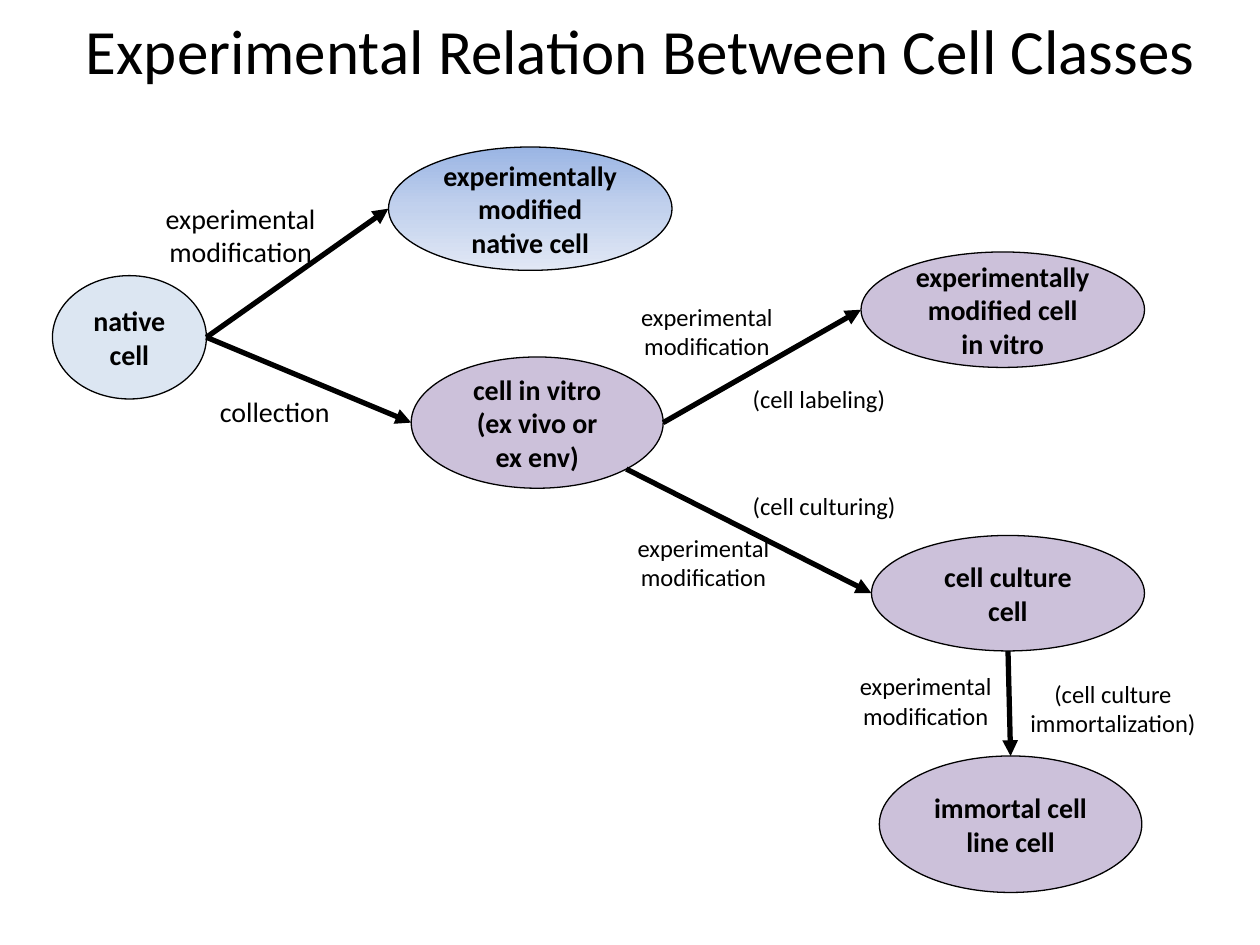
from copy import deepcopy
from math import cos, radians, sin

from lxml import etree
from pptx import Presentation
from pptx import util as u
from pptx.dml.color import RGBColor
from pptx.enum import shapes, text
from pptx.oxml.ns import qn

BLACK = RGBColor(0x00, 0x00, 0x00)
LILAC = RGBColor(0xCC, 0xC1, 0xDA)
PALE_BLUE = RGBColor(0xDC, 0xE6, 0xF2)
BLUE_GRADIENT = (
    RGBColor(0x9A, 0xB5, 0xE4),
    RGBColor(0xC2, 0xD1, 0xED),
    RGBColor(0xE1, 0xE8, 0xF5),
)

# Clockwise angles on an ellipse, in degrees
RIGHT, LOWER_RIGHT, BOTTOM, LEFT, TOP = 0, 45, 90, 180, 270


def rim_point(ellipse, angle):
    """Return the point of the ellipse's outline at a clockwise angle."""
    horizontal, vertical = ellipse.width / 2, ellipse.height / 2
    return (
        round(ellipse.left + horizontal * (1 + cos(radians(angle)))),
        round(ellipse.top + vertical * (1 + sin(radians(angle)))),
    )


class Diagram:
    font = "Calibri"
    outline_width = u.Pt(0.75)
    arrow_width = u.Pt(3)

    def __init__(self, slide):
        self.slide = slide

    def add_lines(self, frame, lines, size, bold=False, align=text.PP_ALIGN.CENTER):
        for index, line in enumerate(lines):
            paragraph = frame.add_paragraph() if index else frame.paragraphs[0]
            paragraph.alignment = align
            run = paragraph.add_run()
            run.text = line
            run.font.name = self.font
            run.font.size = u.Pt(size)
            run.font.bold = bold
            run.font.color.rgb = BLACK

    def cell(self, left, top, width, height, *lines, fill=LILAC):
        shape = self.slide.shapes.add_shape(
            shapes.MSO_SHAPE.OVAL, u.Pt(left), u.Pt(top), u.Pt(width), u.Pt(height)
        )
        shape.shadow.inherit = False
        if isinstance(fill, RGBColor):
            shape.fill.solid()
            shape.fill.fore_color.rgb = fill
        else:
            self.fill_gradient(shape, fill)
        shape.line.color.rgb = BLACK
        shape.line.width = self.outline_width
        frame = shape.text_frame
        frame.word_wrap = True
        frame.vertical_anchor = text.MSO_ANCHOR.MIDDLE
        self.add_lines(frame, lines, 16, bold=True)
        return shape

    def fill_gradient(self, shape, colors):
        """Fill from top to bottom with three evenly spaced colours."""
        shape.fill.gradient()
        shape.fill.gradient_angle = 270
        first_stop = next(shape.element.spPr.iter(qn("a:gs")))
        first_stop.addnext(deepcopy(first_stop))
        for index, (stop, color) in enumerate(zip(shape.fill.gradient_stops, colors)):
            stop.position = index / 2
            stop.color.rgb = color

    def arrow(self, source, source_angle, target, target_angle):
        connector = self.slide.shapes.add_connector(
            shapes.MSO_CONNECTOR.STRAIGHT,
            *rim_point(source, source_angle),
            *rim_point(target, target_angle),
        )
        connector.line.color.rgb = BLACK
        connector.line.width = self.arrow_width
        properties = connector.element.spPr
        line = properties.find(qn("a:ln"))
        etree.SubElement(line, qn("a:tailEnd"), type="triangle")
        etree.SubElement(properties, qn("a:effectLst"))

    def label(self, left, top, width, height, content, size=14,
              align=text.PP_ALIGN.CENTER, wrap=True):
        box = self.slide.shapes.add_textbox(
            u.Pt(left), u.Pt(top), u.Pt(width), u.Pt(height)
        )
        frame = box.text_frame
        frame.word_wrap = wrap
        frame.auto_size = text.MSO_AUTO_SIZE.SHAPE_TO_FIT_TEXT
        self.add_lines(frame, [content], size, align=align)


def main():
    presentation = Presentation()
    presentation.slide_width, presentation.slide_height = u.Pt(720), u.Pt(540)
    diagram = Diagram(presentation.slides.add_slide(presentation.slide_layouts[6]))

    diagram.label(42, 3, 654.5, 51, "Experimental Relation Between Cell Classes",
                  size=36, align=text.PP_ALIGN.LEFT, wrap=False)

    native = diagram.cell(30, 157.5, 88, 70.5, "native cell", fill=PALE_BLUE)
    modified_native = diagram.cell(
        222, 84, 162, 70.5, "experimentally modified native cell", fill=BLUE_GRADIENT
    )
    in_vitro = diagram.cell(235, 204, 144, 75, "cell in vitro", "(ex vivo or ex env)")
    modified_in_vitro = diagram.cell(
        492, 144, 162, 66, "experimentally modified cell in vitro"
    )
    culture = diagram.cell(498, 306, 156, 66, "cell culture cell")
    immortal = diagram.cell(502.5, 432, 150, 78, "immortal cell line cell")

    diagram.arrow(native, RIGHT, modified_native, LEFT)
    diagram.arrow(native, RIGHT, in_vitro, LEFT)
    diagram.arrow(in_vitro, RIGHT, modified_in_vitro, LEFT)
    diagram.arrow(in_vitro, LOWER_RIGHT, culture, LEFT)
    diagram.arrow(culture, BOTTOM, immortal, TOP)

    modification = "experimental modification"
    diagram.label(65.5, 111.5, 144, 46, modification, size=16)
    for left, top in ((332, 169), (330, 301), (457, 380)):
        diagram.label(left, top, 144, 41, modification)

    diagram.label(85, 222, 144, 26.5, "collection", size=16)
    diagram.label(396, 216, 144, 24.5, "(cell labeling)")
    diagram.label(420, 277, 102, 24.5, "(cell culturing)")
    diagram.label(576, 384.5, 120, 41, "(cell culture immortalization)")

    presentation.save("out.pptx")


if __name__ == "__main__":
    main()
